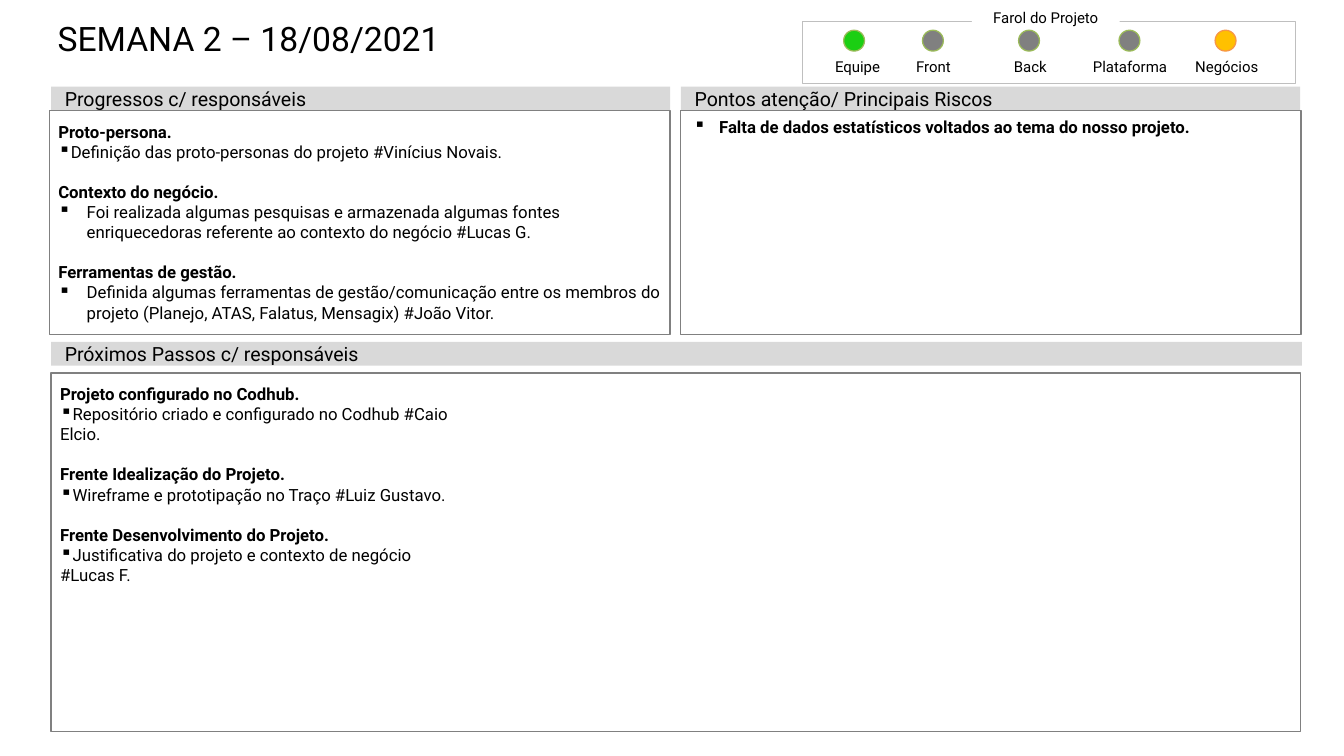
import dataclasses

import lxml.etree
import pptx
import pptx.dml.color
import pptx.enum.shapes
import pptx.enum.text
import pptx.oxml.ns
import pptx.util

Cm = pptx.util.Cm
Pt = pptx.util.Pt
SHAPE = pptx.enum.shapes.MSO_SHAPE
ANCHOR = pptx.enum.text.MSO_ANCHOR
ALIGN = pptx.enum.text.PP_ALIGN


@dataclasses.dataclass(frozen=True)
class Theme:
    font: str = "Roboto"
    ink: str = "000000"
    paper: str = "FFFFFF"
    band: str = "D9D9D9"
    border: str = "808080"
    frame: str = "BFBFBF"
    green: str = "1BCF13"
    grey: str = "808080"
    amber: str = "FFC000"
    ring: str = "9BBB59"
    amber_ring: str = "F79646"
    title: float = 26.5
    heading: float = 15.4
    body: float = 13.2
    label: float = 11.8
    gap: float = 15.8


def rgb(value):
    return pptx.dml.color.RGBColor.from_string(value)


def write(tf, text, *, theme, size, bold=False, align=ALIGN.LEFT,
          bullet=False, margin=0, hang=0, before=0):
    p = tf.paragraphs[0]
    if p.runs:
        p = tf.add_paragraph()
    p.alignment = align
    p.space_before = Pt(before)
    r = p.add_run()
    r.text = text
    r.font.name = theme.font
    r.font.size = Pt(size)
    r.font.bold = bold
    r.font.color.rgb = rgb(theme.ink)
    if bullet:
        pr = p._p.get_or_add_pPr()
        pr.set("marL", str(Cm(margin)))
        pr.set("indent", str(-Cm(hang)))
        bu = lxml.etree.SubElement(pr, pptx.oxml.ns.qn("a:buChar"))
        bu.set("char", "▪")


class StatusSlide:
    """Draws the elements of a weekly status slide in one theme."""

    def __init__(self, prs, theme):
        self.theme = theme
        self.s = prs.slides.add_slide(prs.slide_layouts[6])

    def shape(self, box, kind=SHAPE.RECTANGLE, fill=None, line=None, width=1):
        sp = self.s.shapes.add_shape(kind, *map(Cm, box))
        sp.shadow.inherit = False
        if fill:
            sp.fill.solid()
            sp.fill.fore_color.rgb = rgb(fill)
        else:
            sp.fill.background()
        if line:
            sp.line.color.rgb = rgb(line)
            sp.line.width = Pt(width)
        else:
            sp.line.fill.background()
        return sp

    def frame(self, sp, insets, anchor=ANCHOR.TOP, wrap=True):
        tf = sp.text_frame
        tf.margin_left, tf.margin_top, tf.margin_right, tf.margin_bottom = map(Cm, insets)
        tf.vertical_anchor = anchor
        tf.word_wrap = wrap
        return tf

    def text_box(self, box, insets, anchor=ANCHOR.TOP, wrap=True):
        return self.frame(self.s.shapes.add_textbox(*map(Cm, box)), insets, anchor, wrap)

    def title(self, box, text):
        tf = self.text_box(box, (0.3, 0, 0.3, 0))
        write(tf, text, theme=self.theme, size=self.theme.title)

    def heading(self, box, text):
        sp = self.shape(box, fill=self.theme.band)
        tf = self.frame(sp, (0.38, 0.18, 0.38, 0.18), ANCHOR.MIDDLE)
        write(tf, text, theme=self.theme, size=self.theme.heading)

    def panel(self, box, topics=(), columns=1):
        sp = self.shape(box, line=self.theme.border)
        tf = self.frame(sp, (0.25, 0.3, 0.25, 0.13))
        if columns > 1:
            tf._txBody.bodyPr.set("numCol", str(columns))
        for i, (name, item, margin) in enumerate(topics):
            write(tf, name, theme=self.theme, size=self.theme.body, bold=True,
                  before=self.theme.gap if i else 0)
            write(tf, item, theme=self.theme, size=self.theme.body,
                  bullet=True, margin=margin, hang=margin or 0.71)

    def risk(self, box, text):
        tf = self.text_box(box, (0.25, 0.13, 0.25, 0.13))
        write(tf, text, theme=self.theme, size=self.theme.body, bold=True,
              bullet=True, margin=0.71, hang=0.71)

    def label(self, tf, text):
        write(tf, text, theme=self.theme, size=self.theme.label, align=ALIGN.CENTER)

    def lamp(self, x, label_x, text, fill, ring):
        self.shape((x, 0.84, 0.58, 0.58), SHAPE.OVAL, fill, ring)
        tf = self.text_box((label_x, 1.6, 2.49, 0.51), (0.15, 0.15, 0.15, 0),
                           ANCHOR.BOTTOM, False)
        self.label(tf, text)

    def legend(self, box, caption_box, caption):
        self.shape(box, line=self.theme.frame, width=0.5)
        sp = self.shape(caption_box, fill=self.theme.paper)
        self.label(self.frame(sp, (0.15, 0.15, 0.15, 0), ANCHOR.BOTTOM, False), caption)


def main():
    prs = pptx.Presentation()
    prs.slide_width, prs.slide_height = Cm(37.34), Cm(21)
    t = Theme()
    s = StatusSlide(prs, t)

    s.title((1.3, 0.51, 33.6, 2.24), "SEMANA 2 – 18/08/2021")

    s.legend((22.28, 0.58, 13.72, 1.73), (27, 0.15, 4.11, 0.58), "Farol do Projeto")
    for lamp in (
        (23.44, 22.58, "Equipe", t.green, t.ring),
        (25.63, 24.69, "Front", t.grey, t.ring),
        (28.3, 27.38, "Back", t.grey, t.ring),
        (31.09, 30.15, "Plataforma", t.grey, t.ring),
        (33.76, 32.84, "Negócios", t.amber, t.amber_ring),
    ):
        s.lamp(*lamp)

    s.heading((1.42, 2.41, 17.2, 0.66), "Progressos c/ responsáveis")
    s.panel((1.37, 3.07, 17.25, 6.22), (
        ("Proto-persona.",
         "Definição das proto-personas do projeto #Vinícius Novais.", 0),
        ("Contexto do negócio.",
         "Foi realizada algumas pesquisas e armazenada algumas fontes "
         "enriquecedoras referente ao contexto do negócio #Lucas G.", 0.79),
        ("Ferramentas de gestão.",
         "Definida algumas ferramentas de gestão/comunicação entre os membros do "
         "projeto (Planejo, ATAS, Falatus, Mensagix) #João Vitor.", 0.79),
    ))

    s.heading((18.92, 2.41, 17.2, 0.66), "Pontos atenção/ Principais Riscos")
    s.panel((18.9, 3.07, 17.25, 6.22))
    s.risk((19.02, 3.12, 17.12, 0.81),
           "Falta de dados estatísticos voltados ao tema do nosso projeto.")

    s.heading((1.42, 9.5, 34.75, 0.66), "Próximos Passos c/ responsáveis")
    s.panel((1.42, 10.36, 34.72, 9.96), (
        ("Projeto configurado no Codhub.",
         "Repositório criado e configurado no Codhub #Caio Elcio.", 0),
        ("Frente Idealização do Projeto.",
         "Wireframe e prototipação no Traço #Luiz Gustavo.", 0),
        ("Frente Desenvolvimento do Projeto.",
         "Justificativa do projeto e contexto de negócio  #Lucas F.", 0),
    ), columns=3)

    prs.save("out.pptx")


if __name__ == "__main__":
    main()
